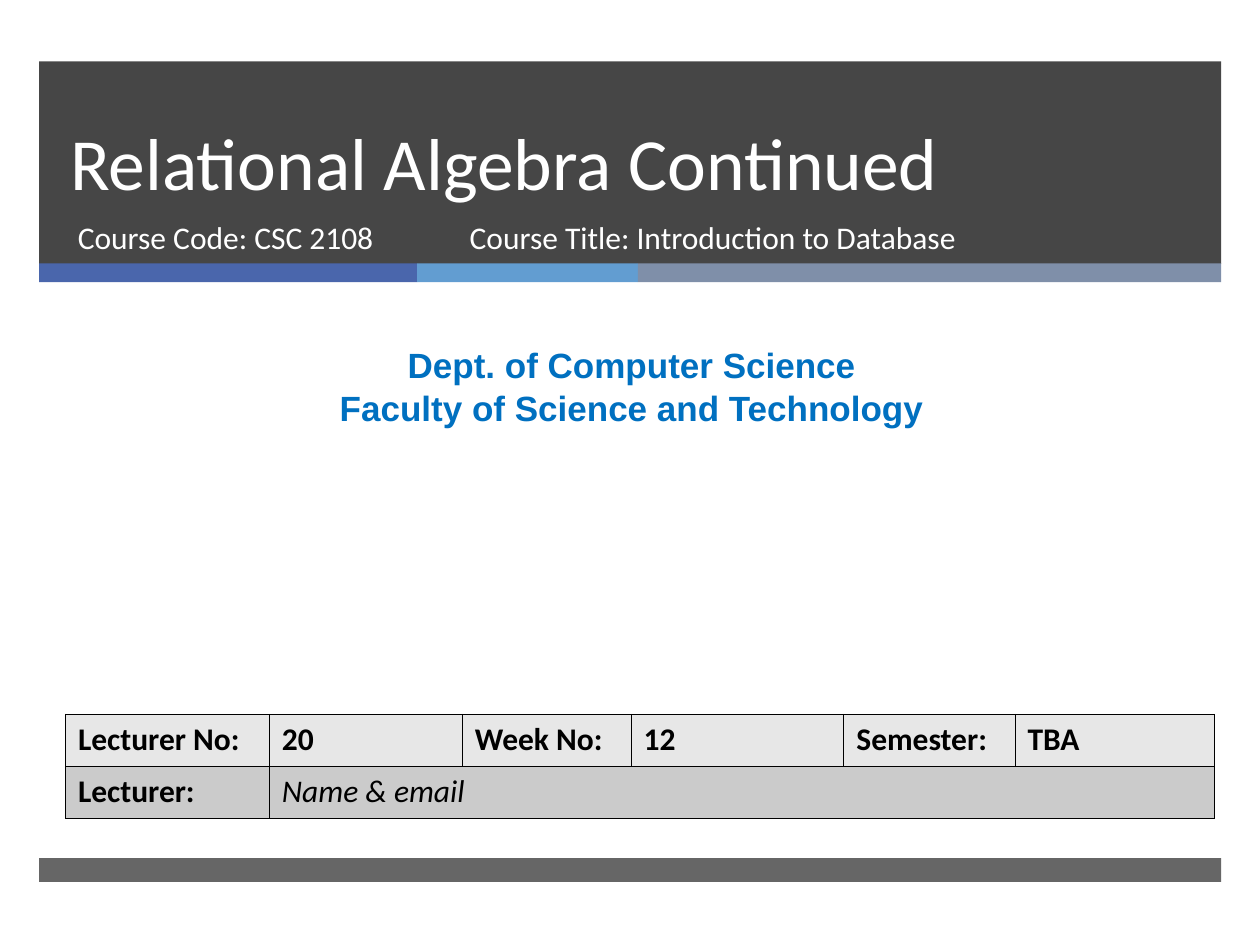
import dataclasses
import itertools

import lxml.etree
import pptx
import pptx.dml.color
import pptx.enum.shapes
import pptx.enum.text
import pptx.oxml.ns
import pptx.presentation
import pptx.shapes.autoshape
import pptx.slide
import pptx.table
import pptx.text.text
import pptx.util

Cm = pptx.util.Cm
Pt = pptx.util.Pt
Anchor = pptx.enum.text.MSO_ANCHOR
Align = pptx.enum.text.PP_ALIGN


@dataclasses.dataclass(frozen=True)
class Theme:
    dark: str = "262626"
    accents: tuple[str, ...] = ("4A66AC", "629DD1", "7F8FA9")
    light_text: str = "FFFFFF"
    table_text: str = "000000"
    department_text: str = "0070C0"
    row_fills: tuple[str, ...] = ("E7E7E7", "CBCBCB")
    border: str = "000000"
    border_width: float = 0.45
    body_font: str = "Calibri"
    department_font: str = "Arial"
    title_size: int = 42
    title_spacing: int = 46
    department_size: int = 20
    body_size: int = 18


@dataclasses.dataclass(frozen=True)
class Box:
    left: float
    top: float
    width: float
    height: float

    def lengths(self) -> tuple[pptx.util.Length, ...]:
        return tuple(Cm(value) for value in dataclasses.astuple(self))


@dataclasses.dataclass(frozen=True)
class TextStyle:
    size: int
    color: str
    font: str
    bold: bool = False
    italic: bool = False


@dataclasses.dataclass(frozen=True)
class TextBlock:
    box: Box
    lines: tuple[str, ...]
    style: TextStyle
    anchor: Anchor = Anchor.TOP
    align: Align = Align.LEFT
    spacing: int | None = None


@dataclasses.dataclass(frozen=True)
class Band:
    box: Box
    color: str
    opacity: int = 100


THEME = Theme()
BODY = TextStyle(THEME.body_size, THEME.light_text, THEME.body_font)
LABEL = TextStyle(THEME.body_size, THEME.table_text, THEME.body_font, bold=True)
HINT = dataclasses.replace(LABEL, bold=False, italic=True)
TITLE = dataclasses.replace(BODY, size=THEME.title_size)
DEPARTMENT = TextStyle(
    THEME.department_size, THEME.department_text, THEME.department_font, bold=True
)

BAND_LEFT = 0.79
BAND_WIDTH = 23.83
STRIPE_TOP = 5.31
STRIPE_HEIGHT = 0.38
STRIPE_WIDTHS = (7.62, 4.45, 11.76)
COURSE_TOP = 4.27
COURSE_HEIGHT = 1.35

BLOCKS = (
    TextBlock(
        Box(1.17, 1.24, 21.69, 3.02),
        ("Relational Algebra Continued",),
        TITLE,
        anchor=Anchor.BOTTOM,
        spacing=THEME.title_spacing,
    ),
    TextBlock(
        Box(1.32, COURSE_TOP, 7.75, COURSE_HEIGHT), ("Course Code: CSC 2108",), BODY
    ),
    TextBlock(
        Box(9.22, COURSE_TOP, 11.56, COURSE_HEIGHT),
        ("Course Title: Introduction to Database",),
        BODY,
    ),
    TextBlock(
        Box(0.2, 6.81, 25.07, 1.96),
        ("Dept. of Computer Science", "Faculty of Science and Technology"),
        DEPARTMENT,
        align=Align.CENTER,
    ),
)

TABLE_LEFT, TABLE_TOP = 1.32, 14.4
COLUMN_WIDTHS = (4.11, 3.89, 3.4, 4.29, 3.45, 4.01)
ROW_HEIGHT = 1.05
TABLE_ROWS = (
    (
        ("Lecturer No:", LABEL),
        ("20", LABEL),
        ("Week No:", LABEL),
        ("12", LABEL),
        ("Semester:", LABEL),
        ("TBA", LABEL),
    ),
    (("Lecturer:", LABEL), ("Name & email", HINT)),
)


def rgb(color: str) -> pptx.dml.color.RGBColor:
    return pptx.dml.color.RGBColor.from_string(color)


def add_run(paragraph: pptx.text.text._Paragraph, text: str, style: TextStyle) -> None:
    run = paragraph.add_run()
    run.text = text
    run.font.size = Pt(style.size)
    run.font.name = style.font
    run.font.bold = style.bold
    run.font.italic = style.italic
    run.font.color.rgb = rgb(style.color)


def add_band(slide: pptx.slide.Slide, band: Band) -> None:
    shape = slide.shapes.add_shape(
        pptx.enum.shapes.MSO_SHAPE.RECTANGLE, *band.box.lengths()
    )
    shape.shadow.inherit = False
    shape.line.fill.background()
    shape.fill.solid()
    shape.fill.fore_color.rgb = rgb(band.color)
    if band.opacity < 100:
        color = shape.fill._xPr.find(".//" + pptx.oxml.ns.qn("a:srgbClr"))
        alpha = lxml.etree.SubElement(color, pptx.oxml.ns.qn("a:alpha"))
        alpha.set("val", str(band.opacity * 1000))


def add_bands(slide: pptx.slide.Slide) -> None:
    add_band(slide, Band(Box(BAND_LEFT, 1.24, BAND_WIDTH, 4.08), THEME.dark, 85))
    offsets = itertools.accumulate(STRIPE_WIDTHS, initial=BAND_LEFT)
    for left, width, color in zip(offsets, STRIPE_WIDTHS, THEME.accents):
        add_band(slide, Band(Box(left, STRIPE_TOP, width, STRIPE_HEIGHT), color))
    add_band(slide, Band(Box(BAND_LEFT, 17.3, BAND_WIDTH, 0.48), THEME.dark, 70))


def add_text(slide: pptx.slide.Slide, block: TextBlock) -> None:
    frame = slide.shapes.add_textbox(*block.box.lengths()).text_frame
    frame.word_wrap = True
    frame.vertical_anchor = block.anchor
    for index, line in enumerate(block.lines):
        paragraph = frame.add_paragraph() if index else frame.paragraphs[0]
        paragraph.alignment = block.align
        if block.spacing is not None:
            paragraph.line_spacing = Pt(block.spacing)
        add_run(paragraph, line, block.style)


def style_cell(cell: pptx.table._Cell, fill: str) -> None:
    properties = cell._tc.get_or_add_tcPr()
    for side in ("a:lnL", "a:lnR", "a:lnT", "a:lnB"):
        line = lxml.etree.SubElement(properties, pptx.oxml.ns.qn(side))
        line.set("w", str(int(Pt(THEME.border_width))))
        solid = lxml.etree.SubElement(line, pptx.oxml.ns.qn("a:solidFill"))
        color = lxml.etree.SubElement(solid, pptx.oxml.ns.qn("a:srgbClr"))
        color.set("val", THEME.border)
    cell.fill.solid()
    cell.fill.fore_color.rgb = rgb(fill)


def add_lecture_table(slide: pptx.slide.Slide) -> None:
    row_count, column_count = len(TABLE_ROWS), len(COLUMN_WIDTHS)
    box = Box(TABLE_LEFT, TABLE_TOP, sum(COLUMN_WIDTHS), ROW_HEIGHT * row_count)
    table = slide.shapes.add_table(row_count, column_count, *box.lengths()).table
    for column, width in zip(table.columns, COLUMN_WIDTHS):
        column.width = Cm(width)
    for row, entries, fill in zip(table.rows, TABLE_ROWS, THEME.row_fills):
        row.height = Cm(ROW_HEIGHT)
        for cell in row.cells:
            style_cell(cell, fill)
        for cell, (text, style) in zip(row.cells, entries):
            add_run(cell.text_frame.paragraphs[0], text, style)
    table.cell(1, 1).merge(table.cell(1, column_count - 1))


def main() -> None:
    presentation = pptx.Presentation()
    presentation.slide_width = Cm(25.4)
    presentation.slide_height = Cm(19.05)
    slide = presentation.slides.add_slide(presentation.slide_layouts[6])
    add_bands(slide)
    for block in BLOCKS:
        add_text(slide, block)
    add_lecture_table(slide)
    presentation.save("out.pptx")


if __name__ == "__main__":
    main()
